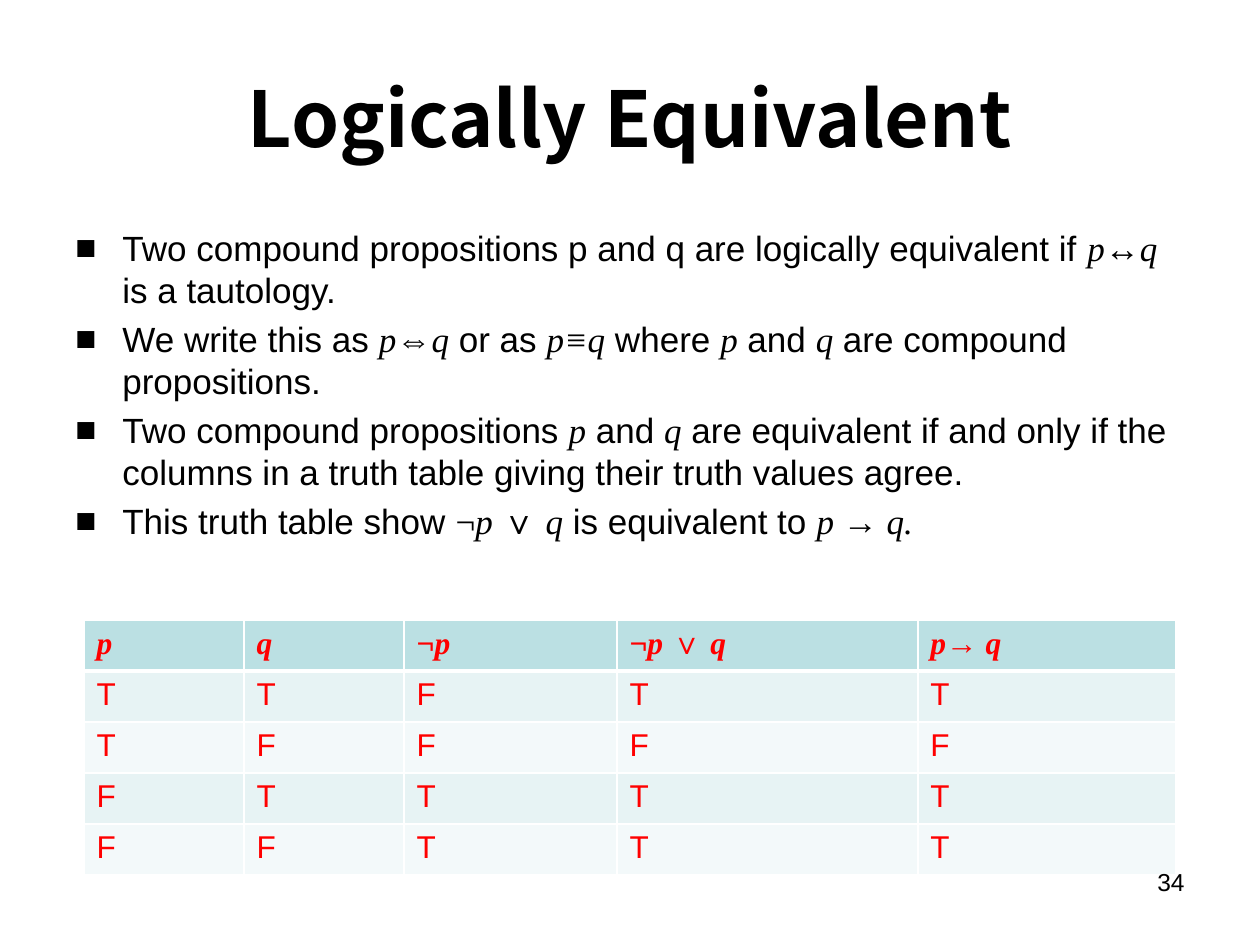
from itertools import groupby

from lxml import etree
from pptx import Presentation
from pptx.dml.color import RGBColor
from pptx.enum.text import MSO_ANCHOR, PP_ALIGN
from pptx.oxml.ns import qn
from pptx.util import Emu, Pt

CENTER, RIGHT = PP_ALIGN.CENTER, PP_ALIGN.RIGHT
MIDDLE, TOP = MSO_ANCHOR.MIDDLE, MSO_ANCHOR.TOP
PX = 914400 / 126

THEME = {
    "black": RGBColor(0, 0, 0),
    "red": RGBColor(255, 0, 0),
    "border": "FFFFFF",
    "header": RGBColor(0xBB, 0xE0, 0xE3),
    "bands": [RGBColor(0xE7, 0xF3, 0xF4), RGBColor(0xF3, 0xF9, 0xFA)],
    "heading": "Noto Sans CJK SC",
    "prose": "Arial",
    "math": "Times New Roman",
    "title_size": Pt(44),
    "body_size": Pt(20),
    "table_size": Pt(18),
    "number_size": Pt(14),
}


def px(value):
    return Emu(round(value * PX))


def write(paragraph, text, size, color, font=THEME["prose"], bold=False):
    """Write text; parts between asterisks are formulas, italic except ¬ and ∨."""
    paragraph.font.size = size
    paragraph.font.color.rgb = color
    paragraph.font.bold = bold
    parts = text.split("*")
    if len(parts) == 1:
        paragraph.font.name = font
    for index, part in enumerate(parts):
        is_math = index % 2 == 1
        for upright, letters in groupby(part, lambda c: is_math and c in "¬∨"):
            run = paragraph.add_run()
            run.text = "".join(letters)
            if len(parts) > 1:
                run.font.name = THEME["math"] if is_math else font
                run.font.italic = is_math and not upright


presentation = Presentation()
presentation.slide_width, presentation.slide_height = px(1260), px(945)
slide = presentation.slides.add_slide(presentation.slide_layouts[6])

# Truth table, at the back so that the slide number stays in front of it
rows = [
    ["*p*", "*q*", "*¬p*", "*¬p ∨ q*", "*p→ q*"],
    "TTFTT",
    "TFFFF",
    "FTTTT",
    "FFTTT",
]
column_widths = [160, 160, 213, 301, 258]
row_height = 51
table = slide.shapes.add_table(
    len(rows), len(column_widths), px(84), px(620),
    px(sum(column_widths)), px(row_height * len(rows))).table
for column, width in zip(table.columns, column_widths):
    column.width = px(width)

for row_index, values in enumerate(rows):
    table.rows[row_index].height = px(row_height)
    is_header = row_index == 0
    for column_index, value in enumerate(values):
        cell = table.cell(row_index, column_index)
        write(cell.text_frame.paragraphs[0], value, THEME["table_size"],
              THEME["red"], bold=is_header)
        # Borders come before the fill in the cell properties
        thick_side = {0: "lnB", 1: "lnT"}.get(row_index)
        for side in ("lnL", "lnR", "lnT", "lnB"):
            width = Pt(3 if side == thick_side else 1)
            line = etree.SubElement(cell._tc.get_or_add_tcPr(), qn("a:" + side), w=str(width))
            fill = etree.SubElement(line, qn("a:solidFill"))
            etree.SubElement(fill, qn("a:srgbClr"), val=THEME["border"])
        cell.fill.solid()
        cell.fill.fore_color.rgb = (
            THEME["header"] if is_header else THEME["bands"][(row_index - 1) % 2])

# Text frames: title, body and slide number
frames = []
for box, anchor in [
    ((63, 38, 1134, 157), MIDDLE),
    ((63, 220, 1134, 390), TOP),
    ((903, 861, 294, 65), TOP),
]:
    frame = slide.shapes.add_textbox(*map(px, box)).text_frame
    frame.word_wrap = True
    frame.vertical_anchor = anchor
    frames.append(frame)
title, body, number = frames

title.paragraphs[0].alignment = CENTER
write(title.paragraphs[0], "Logically Equivalent", THEME["title_size"],
      THEME["black"], THEME["heading"], True)

number.paragraphs[0].alignment = RIGHT
write(number.paragraphs[0], "34", THEME["number_size"], THEME["black"])

# Bulleted statements
statements = [
    "Two compound propositions p and q are logically equivalent if *p↔q* is a tautology.",
    "We write this as *p⇔q* or as *p≡q* where *p* and *q* are compound propositions.",
    "Two compound propositions *p* and *q* are equivalent if and only if the columns "
    "in a truth table giving their truth values agree.",
    "This truth table show *¬p ∨ q* is equivalent to *p → q.*",
]
for index, statement in enumerate(statements):
    paragraph = body.add_paragraph() if index else body.paragraphs[0]
    if index:
        paragraph.space_before = Pt(4)
    properties = paragraph._p.get_or_add_pPr()
    properties.set("marL", str(px(47)))
    properties.set("indent", str(-px(47)))
    etree.SubElement(properties, qn("a:buFont"), typeface=THEME["prose"])
    etree.SubElement(properties, qn("a:buChar"), char="■")
    write(paragraph, statement, THEME["body_size"], THEME["black"])

presentation.save("out.pptx")
